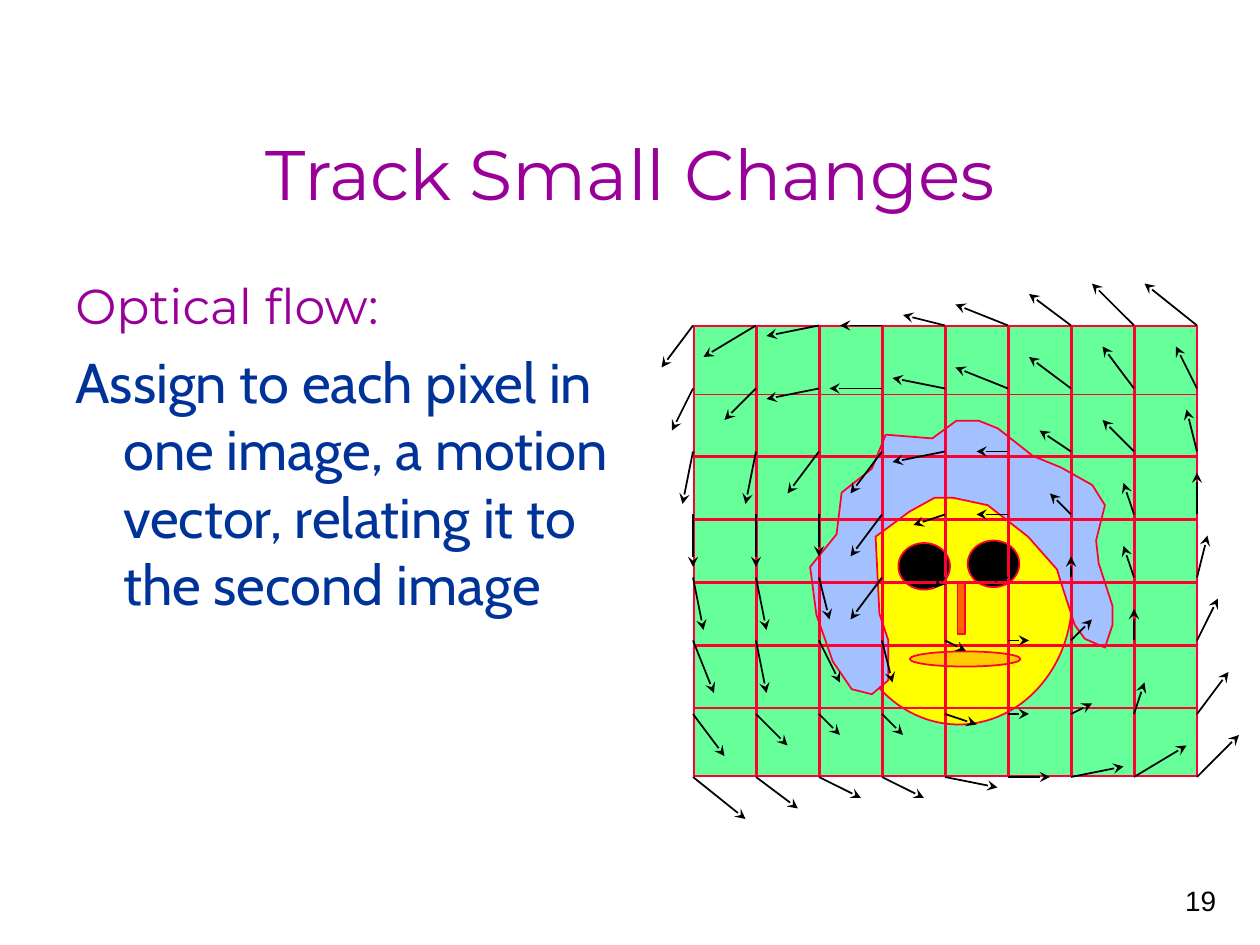
from lxml.etree import SubElement
from pptx import Presentation
from pptx.dml.color import RGBColor
from pptx.enum.shapes import MSO_CONNECTOR, MSO_SHAPE
from pptx.enum.text import MSO_ANCHOR, PP_ALIGN
from pptx.oxml.ns import qn
from pptx.util import Pt

PX = 9144
TWELFTH = 100 / 12

PURPLE = RGBColor(0x99, 0x00, 0x99)
NAVY = RGBColor(0x00, 0x33, 0x99)
BLACK = RGBColor(0x00, 0x00, 0x00)
RED = RGBColor(0xFF, 0x00, 0x33)
GREEN = RGBColor(0x66, 0xFF, 0x99)
YELLOW = RGBColor(0xFF, 0xFF, 0x00)
ORANGE = RGBColor(0xFF, 0x66, 0x00)
AMBER = RGBColor(0xFF, 0xCC, 0x00)
LIGHT_BLUE = RGBColor(0xA2, 0xC1, 0xFE)

TITLE_FONT = dict(size=Pt(40), name="Montserrat")
HEADING_FONT = dict(size=Pt(28), name="Montserrat")
BODY_FONT = dict(size=Pt(32), name="Cabin")
NUMBER_FONT = dict(size=Pt(16), name="Arial")

TEXTS = [
    dict(box=(767, 683, 208, 50), anchor=MSO_ANCHOR.BOTTOM, align=PP_ALIGN.RIGHT, hanging=0,
         paragraphs=[[("19", NUMBER_FONT, BLACK)]]),
    dict(box=(75, 50, 850, 125), anchor=MSO_ANCHOR.BOTTOM, align=PP_ALIGN.CENTER, hanging=0,
         paragraphs=[[("Track Small Changes", TITLE_FONT, PURPLE)]]),
    dict(box=(50, 208, 450, 454), anchor=MSO_ANCHOR.TOP, align=PP_ALIGN.LEFT, hanging=38,
         paragraphs=[
             [("Optical flow:", HEADING_FONT, PURPLE), (" ", BODY_FONT, NAVY)],
             [("Assign to each pixel in one image, a motion vector, "
               "relating it to the second image", BODY_FONT, NAVY)],
         ]),
]
PARAGRAPH_GAP = Pt(7)

FIELD = (551, 259, 399, 357)
CELL, PITCH = 49, 50
GRID_COLUMNS, GRID_ROWS = 8, 5
GRID_ROW_TOP = 313

FACE = [
    (MSO_SHAPE.RECTANGLE, FIELD, GREEN),
    (MSO_SHAPE.OVAL, (671, 373, 180, 202), YELLOW),
    (MSO_SHAPE.OVAL, (713, 431, 41, 37), BLACK),
    (MSO_SHAPE.OVAL, (768, 429, 41, 37), BLACK),
    (MSO_SHAPE.RECTANGLE, (760, 463, 6, 40), ORANGE),
    (MSO_SHAPE.OVAL, (722, 517, 88, 12), AMBER),
]

HAIR = [
    (842, 462), (853, 496), (861, 507), (877, 514), (883, 496), (883, 481), (872, 447),
    (870, 429), (877, 401), (867, 385), (842, 371), (820, 362), (792, 340), (777, 334),
    (759, 334), (740, 348), (703, 345), (692, 372), (668, 391), (664, 424), (643, 450),
    (648, 488), (661, 525), (676, 547), (692, 551), (705, 540), (705, 508), (698, 487),
    (695, 426), (722, 406), (742, 395), (756, 395), (784, 401), (816, 426), (839, 452),
]

FLOW_LEFT, FLOW_STEP = 66, 6
FLOW_ROWS = [31, 37, 43, 49, 55, 61, 68, 74]
FLOW_ACROSS = [
    [-3, -5, -5, -4, -4, -5, -4, -4, -5],
    [-2, -3, -5, -5, -5, -5, -4, -3, -2],
    [-1, -1, -3, -3, -5, -3, -3, -3, -1],
    [0, 0, 0, -3, -3, -3, -2, -1, 0],
    [1, 1, 1, -3, -1, -2, 0, -1, 1],
    [2, 1, 2, 1, 2, 2, 2, 0, 2],
    [3, 3, 2, 2, 3, 2, 2, 1, 3],
    [5, 4, 4, 4, 5, 4, 5, 5, 4],
]
FLOW_DOWN_TOP = [4, 3, 1, 0, -1, -2, -3, -4, -4]
FLOW_DOWN_MIDDLE = [5, 5, 4, 4, 1, 0, -2, -3, -4]
FLOW_DOWN_BOTTOM = [4, 3, 2, 2, 1, 0, -1, -3, -4]
FLOW_DOWN = [FLOW_DOWN_TOP] * 2 + [FLOW_DOWN_MIDDLE] * 4 + [FLOW_DOWN_BOTTOM] * 2


def emu(*lengths):
    return [round(length * PX) for length in lengths]


def add_text(slide, box, anchor, align, hanging, paragraphs):
    frame = slide.shapes.add_textbox(*emu(*box)).text_frame
    frame.word_wrap = True
    frame.vertical_anchor = anchor
    for index, runs in enumerate(paragraphs):
        paragraph = frame.add_paragraph() if index else frame.paragraphs[0]
        paragraph.alignment = align
        if index:
            paragraph.space_before = PARAGRAPH_GAP
        if hanging:
            properties = paragraph._p.get_or_add_pPr()
            properties.set("marL", str(hanging * PX))
            properties.set("indent", str(-hanging * PX))
        for text, font, color in runs:
            run = paragraph.add_run()
            run.text = text
            run.font.color.rgb = color
            for name, value in font.items():
                setattr(run.font, name, value)


def style(shape, fill=None):
    shape.shadow.inherit = False
    shape.line.color.rgb = RED
    shape.line.width = Pt(1)
    if fill is None:
        shape.fill.background()
    else:
        shape.fill.solid()
        shape.fill.fore_color.rgb = fill


def add_arrow(group, x, y, across, down):
    ends = [length * TWELFTH for length in (x, y, x + across, y + down)]
    arrow = group.shapes.add_connector(MSO_CONNECTOR.STRAIGHT, *emu(*ends))
    arrow.line.color.rgb = BLACK
    arrow.line.width = Pt(1)
    SubElement(arrow.line._get_or_add_ln(), qn("a:tailEnd"), type="stealth")
    SubElement(arrow._element.spPr, qn("a:effectLst"))


def main():
    presentation = Presentation()
    presentation.slide_width, presentation.slide_height = emu(1000, 750)
    slide = presentation.slides.add_slide(presentation.slide_layouts[6])
    for text in TEXTS:
        add_text(slide, **text)

    group = slide.shapes.add_group_shape()
    for kind, box, fill in FACE:
        style(group.shapes.add_shape(kind, *emu(*box)), fill)
    outline = group.shapes.build_freeform(*HAIR[0], scale=PX)
    outline.add_line_segments(HAIR[1:], close=True)
    style(outline.convert_to_shape(), LIGHT_BLUE)

    left, top, width, height = FIELD
    cells = [(left + PITCH * column, top, CELL, height) for column in range(GRID_COLUMNS)]
    cells += [(left, GRID_ROW_TOP + PITCH * row, width, CELL) for row in range(GRID_ROWS)]
    for box in cells:
        style(group.shapes.add_shape(MSO_SHAPE.RECTANGLE, *emu(*box)))

    for y, across_row, down_row in zip(FLOW_ROWS, FLOW_ACROSS, FLOW_DOWN):
        for column, (across, down) in enumerate(zip(across_row, down_row)):
            add_arrow(group, FLOW_LEFT + FLOW_STEP * column, y, across, down)
    presentation.save("out.pptx")


if __name__ == "__main__":
    main()
